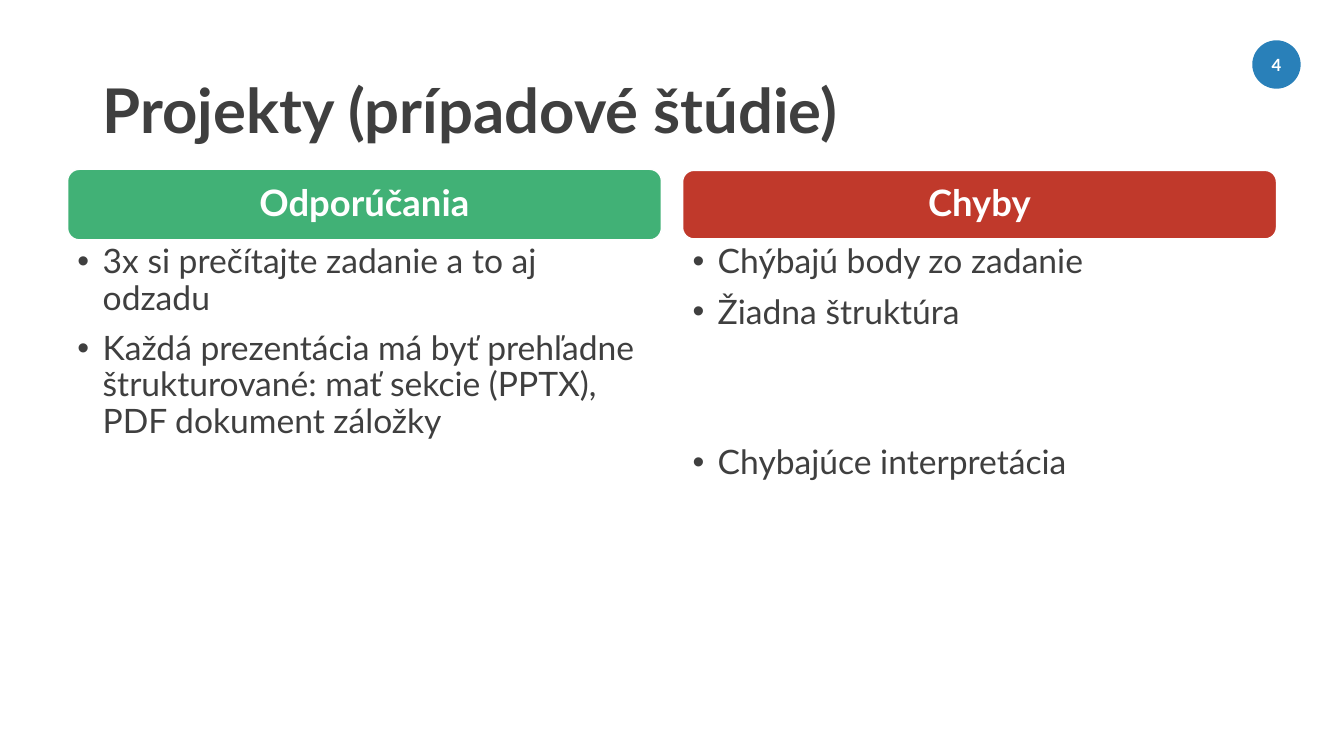
from lxml.etree import SubElement
from pptx import Presentation
from pptx.dml.color import RGBColor
from pptx.enum.shapes import MSO_SHAPE as Shape
from pptx.enum.text import MSO_ANCHOR as Anchor, MSO_AUTO_SIZE as AutoSize, PP_ALIGN as Align
from pptx.oxml.ns import qn
from pptx.util import Inches, Pt


def color(value):
    return RGBColor.from_string(value)


class ProjectSlide:
    font = "Lato"
    dark = "3F3F3F"
    white = "FFFFFF"
    blue = "2980B9"
    column_width = 5.89

    def __init__(self, presentation):
        self.slide = presentation.slides.add_slide(presentation.slide_layouts[5])

    def style(self, paragraph, size, text_color, bold=False, align=Align.LEFT, spacing=0.9):
        paragraph.alignment = align
        paragraph.line_spacing = spacing
        paragraph.font.name = self.font
        paragraph.font.size = Pt(size)
        paragraph.font.bold = bold
        paragraph.font.color.rgb = color(text_color)

    def title(self, text, box):
        title = self.slide.shapes.title
        title.left, title.top, title.width, title.height = map(Inches, box)
        frame = title.text_frame
        frame.text = text
        frame.auto_size = AutoSize.NONE
        frame.vertical_anchor = Anchor.MIDDLE
        self.style(frame.paragraphs[0], 44, self.dark, bold=True)

    def label(self, kind, text, box, fill, size, line=None, spacing=0.9):
        shape = self.slide.shapes.add_shape(kind, *map(Inches, box))
        shape.shadow.inherit = False
        shape.fill.solid()
        shape.fill.fore_color.rgb = color(fill)
        if line:
            shape.line.color.rgb = color(line)
            shape.line.width = Pt(1)
        else:
            shape.line.fill.background()
        frame = shape.text_frame
        frame.text = text
        frame.vertical_anchor = Anchor.MIDDLE
        frame.margin_left = frame.margin_right = 0
        self.style(frame.paragraphs[0], size, self.white, True, Align.CENTER, spacing)

    def bullets(self, left, items):
        box = map(Inches, (left, 2.38, self.column_width, 4.32))
        frame = self.slide.shapes.add_textbox(*box).text_frame
        frame.word_wrap = True
        for index, (text, space_before) in enumerate(items):
            paragraph = frame.add_paragraph() if index else frame.paragraphs[0]
            paragraph.text = text
            properties = paragraph._p.get_or_add_pPr()
            properties.set("marL", str(Inches(0.25)))
            properties.set("indent", str(Inches(-0.25)))
            SubElement(properties, qn("a:buFont"), typeface="Arial")
            SubElement(properties, qn("a:buChar"), char="•")
            paragraph.space_before = Pt(space_before)
            self.style(paragraph, 24, self.dark)

    def column(self, left, top, height, heading, fill, items):
        self.bullets(left, items)
        box = (left, top, self.column_width, height)
        self.label(Shape.ROUNDED_RECTANGLE, heading, box, fill, 26, self.white)

    def page_number(self, text):
        self.label(Shape.OVAL, text, (12.42, 0.4, 0.48, 0.48), self.blue, 12, spacing=1.0)


def main():
    presentation = Presentation()
    presentation.slide_width = Inches(13.33)
    presentation.slide_height = Inches(7.5)
    slide = ProjectSlide(presentation)
    slide.title("Projekty (prípadové štúdie)", (0.92, 0.4, 11.5, 1.45))
    slide.column(0.67, 1.68, 0.7, "Odporúčania", "41B176", [
        ("3x si prečítajte zadanie a to aj odzadu", 0),
        ("Každá prezentácia má byť prehľadne štrukturované: "
         "mať sekcie (PPTX), PDF dokument záložky", 10),
    ])
    slide.column(6.77, 1.69, 0.68, "Chyby", "C0392B", [
        ("Chýbajú body zo zadanie", 0),
        ("Žiadna štruktúra", 10),
        ("Chybajúce interpretácia", 81.5),
    ])
    slide.page_number("4")
    presentation.save("out.pptx")


if __name__ == "__main__":
    main()
